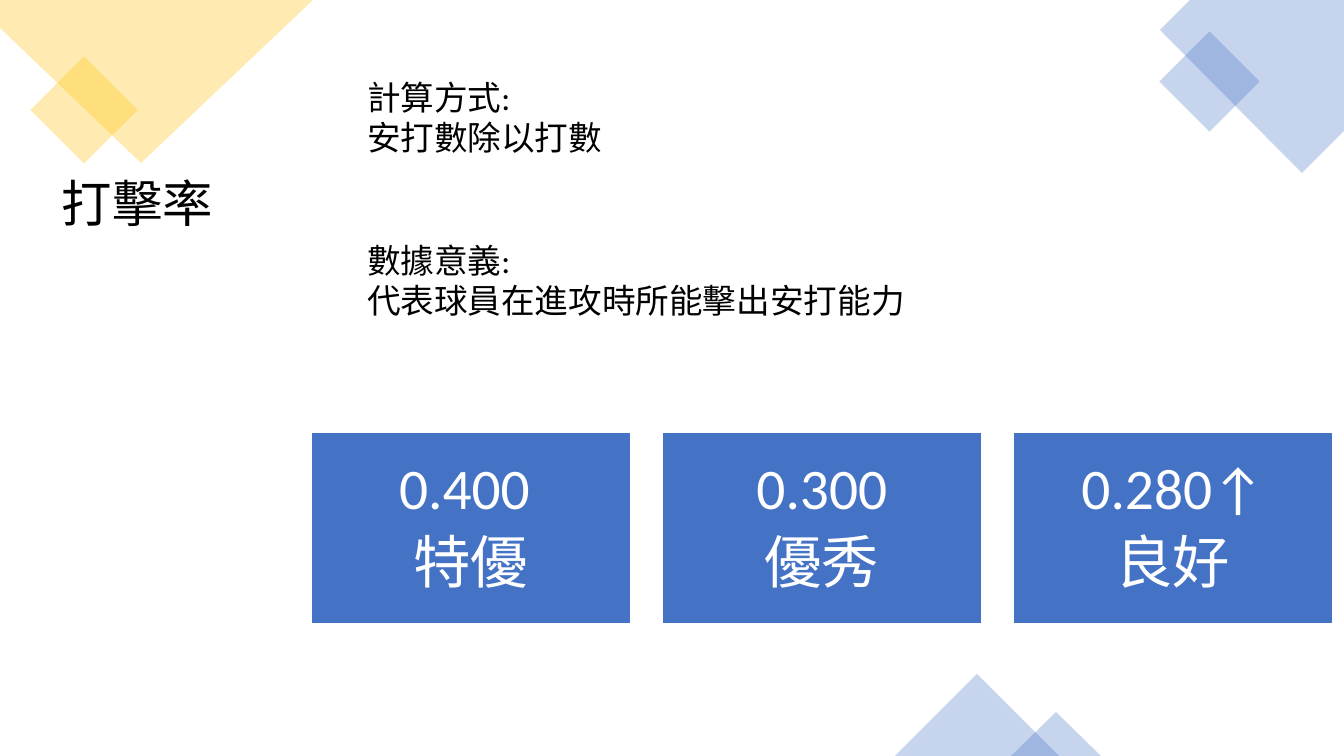
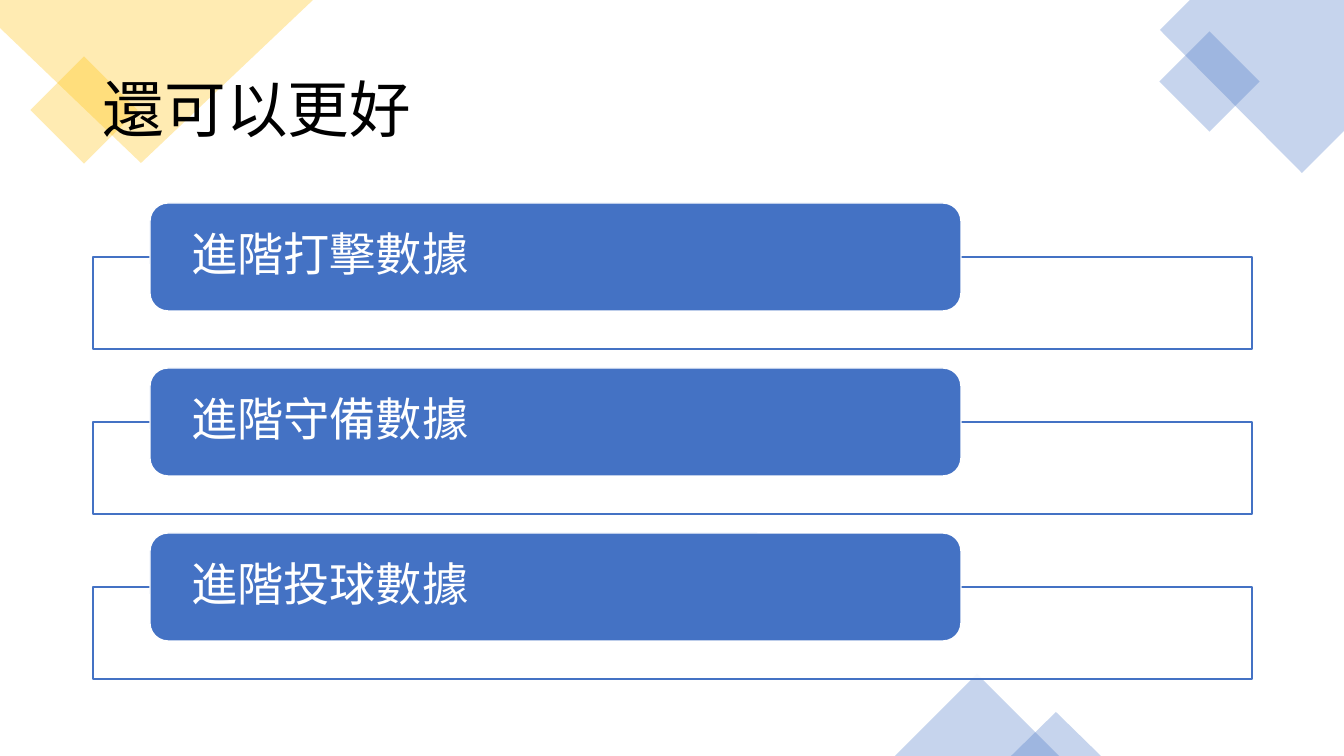
from lxml import etree
from pptx import Presentation
from pptx.dml.color import RGBColor
from pptx.enum.shapes import MSO_SHAPE
from pptx.enum.text import MSO_ANCHOR, PP_ALIGN
from pptx.oxml.ns import qn
from pptx.util import Pt

RECT = MSO_SHAPE.RECTANGLE
ROUND = MSO_SHAPE.ROUNDED_RECTANGLE
PEAK = MSO_SHAPE.ISOSCELES_TRIANGLE
TOP, MIDDLE = MSO_ANCHOR.TOP, MSO_ANCHOR.MIDDLE
LEFT, CENTER = PP_ALIGN.LEFT, PP_ALIGN.CENTER

WIDE, HIGH = 1344, 756
SCALE = 12192000 / WIDE
COLORS = {"blue": "4472C4", "gold": "FFC000", "white": "FFFFFF", "black": "000000"}
LATIN, ASIAN = "Calibri", "Noto Sans CJK SC"


def px(n):
    return round(n * SCALE)


def color(name):
    return RGBColor.from_string(COLORS[name])


class Deck:
    def __init__(self):
        self.file = Presentation()
        self.file.slide_width, self.file.slide_height = px(WIDE), px(HIGH)
        self.shapes = None

    def slide(self):
        self.shapes = self.file.slides.add_slide(self.file.slide_layouts[6]).shapes
        self.outline([(0, 0), (313, 0), (141, 163), (0, 28)], "gold")
        self.shape(RECT, (46, 72, 76, 76), "gold", 30, turn=45)
        self.outline([(1190, 0), (1344, 0), (1344, 131), (1302, 173), (1160, 30)], "blue")
        self.shape(RECT, (1174, 46, 71, 71), "blue", 30, turn=45)
        self.shape(PEAK, (895, 674, 164, 82), "blue", 30)
        self.shape(PEAK, (1011, 712, 90, 44), "blue", 30)

    def paint(self, shape, fill, alpha=100, line=None):
        shape.shadow.inherit = False
        shape.fill.solid()
        shape.fill.fore_color.rgb = color(fill)
        if alpha < 100:
            tone = shape._element.spPr.find(f"{qn('a:solidFill')}/{qn('a:srgbClr')}")
            etree.SubElement(tone, qn("a:alpha"), val=str(alpha * 1000))
        if line:
            shape.line.color.rgb = color(line)
            shape.line.width = Pt(1)
        else:
            shape.line.fill.background()

    def outline(self, points, fill):
        form = self.shapes.build_freeform(*points[0], scale=SCALE)
        form.add_line_segments(points[1:], close=True)
        self.paint(form.convert_to_shape(), fill, 30)

    def shape(self, kind, box, fill, alpha=100, line=None, turn=0):
        shape = self.shapes.add_shape(kind, *map(px, box))
        shape.rotation = turn
        self.paint(shape, fill, alpha, line)
        return shape

    def label(self, shape, text, size, tint="black", font=LATIN, anchor=MIDDLE,
              align=LEFT, lead=0.9, after=0, inset=(10, 5)):
        frame = shape.text_frame
        frame.word_wrap = True
        frame.vertical_anchor = anchor
        frame.margin_left = frame.margin_right = px(inset[0])
        frame.margin_top = frame.margin_bottom = px(inset[1])
        frame.text = text
        for para in frame.paragraphs:
            para.alignment = align
            para.line_spacing = lead
            para.space_after = Pt(after)
            for run in para.runs:
                run.font.size = Pt(size)
                run.font.name = font
                run.font.color.rgb = color(tint)
                etree.SubElement(run.font._element, qn("a:ea"), typeface=ASIAN)

    def text(self, box, text, size, **style):
        self.label(self.shapes.add_textbox(*map(px, box)), text, size, **style)

    def card(self, box, text):
        card = self.shape(RECT, box, "blue", line="white")
        self.label(card, text, 41, "white", align=CENTER, after=8, inset=(17, 17))

    def bar(self, top, text):
        self.shape(RECT, (93, top + 54, 1159, 92), "white", 90, "blue")
        bar = self.shape(ROUND, (150, top, 811, 108), "blue", line="white")
        self.label(bar, text, 33, "white", inset=(36, 0))


def main():
    deck = Deck()

    deck.slide()
    deck.text((52, 0, 247, 412), "打擊率", 36, font=ASIAN)
    notes = ["計算方式:\n安打數除以打數", "數據意義:\n代表球員在進攻時所能擊出安打能力"]
    for i, note in enumerate(notes):
        deck.text((357, 72 + 163 * i, 987, 92), note, 24, anchor=TOP, lead=1)
    grades = ["0.400 \n特優", "0.300\n優秀", "0.280↑\n良好"]
    for i, grade in enumerate(grades):
        deck.card((311 + 351 * i, 432, 320, 192), grade)

    deck.slide()
    deck.text((93, 40, 1159, 146), "還可以更好", 44)
    for i, topic in enumerate(["進階打擊數據", "進階守備數據", "進階投球數據"]):
        deck.bar(203 + 165 * i, topic)

    deck.file.save("out.pptx")


if __name__ == "__main__":
    main()
